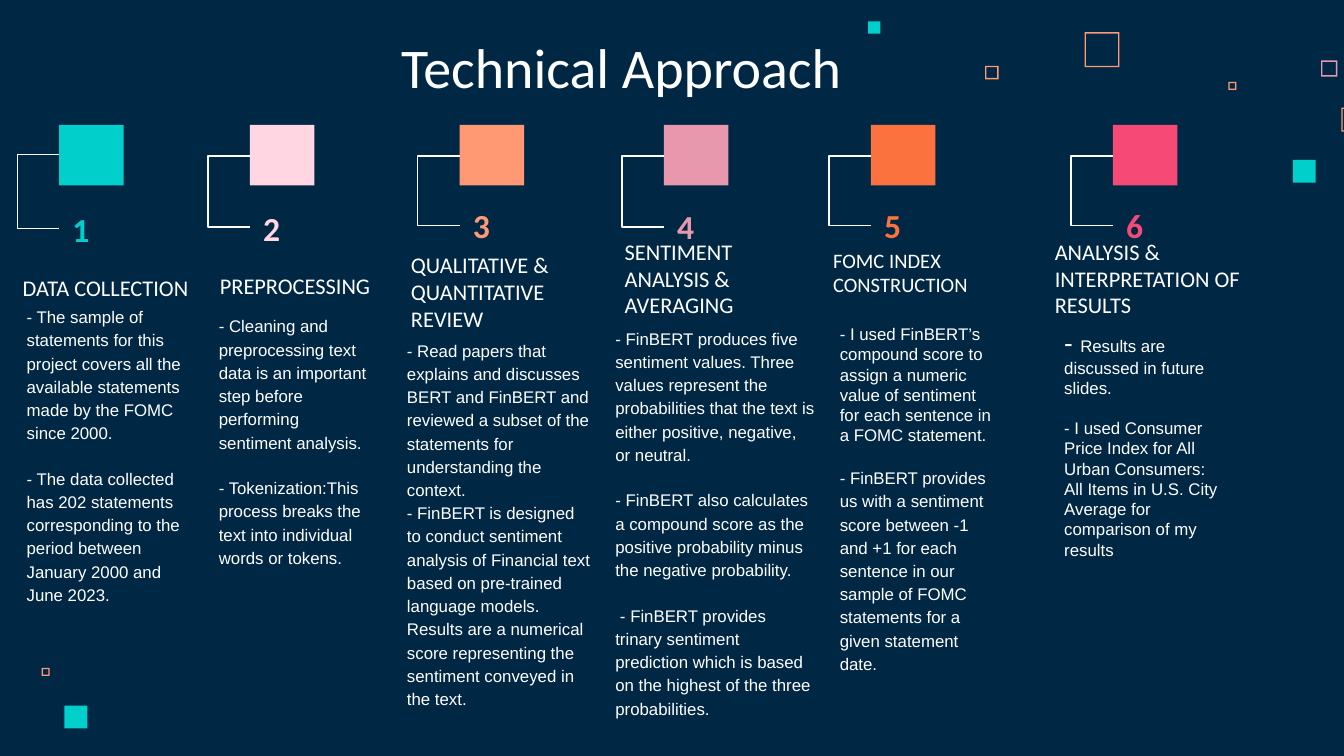
from pptx import Presentation
from pptx.dml.color import RGBColor
from pptx.enum.shapes import MSO_CONNECTOR as Link, MSO_SHAPE as Shape
from pptx.enum.text import MSO_ANCHOR as Anchor, PP_ALIGN as Align
from pptx.oxml.ns import qn
from pptx.util import Emu, Inches, Pt
from lxml import etree

NAVY = RGBColor(0x00, 0x28, 0x45)
WHITE = RGBColor(0xFF, 0xFF, 0xFF)
TEAL = RGBColor(0x00, 0xCF, 0xCC)
BLUSH = RGBColor(0xFF, 0xD6, 0xE1)
PEACH = RGBColor(0xFF, 0x99, 0x73)
MAUVE = RGBColor(0xE8, 0x98, 0xAC)
ORANGE = RGBColor(0xFC, 0x72, 0x3F)
PINK = RGBColor(0xF6, 0x49, 0x75)

# Widescreen slide, 16 to 9
deck = Presentation()
deck.slide_width = Inches(10)
deck.slide_height = Inches(10) * 9 // 16
slide = deck.slides.add_slide(deck.slide_layouts[6])
slide.background.fill.solid()
slide.background.fill.fore_color.rgb = NAVY
shapes = slide.shapes


def paint(shape, color):
    shape.fill.solid()
    shape.fill.fore_color.rgb = color
    shape.line.fill.background()
    shape.shadow.inherit = False


def write(box, paras, font, color, anchor, align=Align.LEFT, bold=False):
    """Each paragraph: (line spacing, points before, [(text, size), ...])."""
    frame = shapes.add_textbox(*map(Inches, box)).text_frame
    frame.word_wrap = True
    frame.vertical_anchor = anchor
    frame.margin_left = frame.margin_right = Inches(0.1)
    frame.margin_top = frame.margin_bottom = Inches(0.1)
    for i, (pitch, gap, runs) in enumerate(paras):
        para = frame.add_paragraph() if i else frame.paragraphs[0]
        para.alignment = align
        para.line_spacing = pitch
        para.space_before = Pt(gap)
        for text, size in runs:
            run = para.add_run()
            run.text = text
            run.font.size = Pt(size)
            run.font.name = font
            run.font.bold = bold
            run.font.color.rgb = color


# Small solid squares: left, top, side
for x, y, side in [(9.62, 1.19, 0.17), (6.46, 0.16, 0.09), (0.48, 5.25, 0.17)]:
    dot = shapes.add_shape(Shape.RECTANGLE, *map(Inches, (x, y, side, side)))
    paint(dot, TEAL)

# Small hollow squares: left, top, side, colour
rings = [
    (9.83, 0.45, 0.12, MAUVE), (9.14, 0.61, 0.06, PEACH),
    (9.98, 0.8, 0.18, PEACH), (7.33, 0.49, 0.1, PEACH),
    (0.31, 4.97, 0.06, PEACH), (8.07, 0.24, 0.26, PEACH),
]
for x, y, side, color in rings:
    a, b, c, d = map(Inches, (x, y, x + side, y + side))
    t = Inches(0.01)
    path = shapes.build_freeform(a, b)
    path.add_line_segments([(a, d), (c, d), (c, b)])
    path.move_to(c - t, b + t)
    path.add_line_segments([(c - t, d - t), (a + t, d - t), (a + t, b + t)])
    paint(path.convert_to_shape(), color)

# Title
write((2.17, 0.21, 5, 0.63), [(1, 0, [("Technical Approach ", 30)])],
      "Calibri", WHITE, Anchor.BOTTOM, Align.CENTER)

# Steps: colour, square left, number top, bracket top and bottom,
# heading box, heading runs, body box, body paragraphs
steps = [
    (TEAL, 0.44, 1.48, 1.15, 1.7,
     (0.07, 1.71, 2.35, 0.63), [("DATA COLLECTION", 12)],
     (0.1, 2.16, 1.39, 2.39), [
         (1.15, 0, [("- The sample of statements for this project covers all the available statements made by the FOMC since 2000.", 9)]),
         (1.15, 12, [("- The data collected has 202 statements corresponding to the period between January 2000 and June 2023.", 9)])]),
    (BLUSH, 1.86, 1.47, 1.16, 1.69,
     (1.49, 1.7, 2.35, 0.63), [(" ", 15), ("PREPROCESSING", 12), (" ", 15)],
     (1.53, 2.23, 1.36, 2.84), [
         (1.15, 0, [("- Cleaning and preprocessing text data is an important step before performing", 9)]),
         (1.15, 0, [("sentiment analysis.", 9)]),
         (1.15, 12, [("- Tokenization:This process breaks the text into individual words or tokens.", 9)])]),
    (PEACH, 3.42, 1.45, 1.16, 1.68,
     (2.96, 1.94, 1.57, 0.63), [("QUALITATIVE & QUANTITATIVE REVIEW", 12)],
     (2.93, 2.41, 1.57, 2.39), [
         (1.15, 0, [("- Read papers that explains and discusses BERT and FinBERT and reviewed a subset of the statements for understanding the context.", 9)]),
         (1.15, 0, [("- FinBERT is designed to conduct sentiment analysis of Financial text based on pre-trained language models. Results are a numerical score representing the sentiment conveyed in the text.", 9)])]),
    (MAUVE, 4.94, 1.46, 1.16, 1.69,
     (4.55, 1.84, 1.5, 0.63), [("SENTIMENT ANALYSIS & AVERAGING", 12)],
     (4.48, 2.32, 1.68, 2.65), [
         (1.15, 0, [("- FinBERT produces five sentiment values. Three values represent the probabilities that the text is either positive, negative, or neutral.", 9)]),
         (1.15, 12, [("- FinBERT also calculates a compound score as the positive probability minus the negative probability.", 9)]),
         (1.15, 12, [(" - FinBERT provides trinary sentiment prediction which is based on the highest of the three probabilities.", 9)])]),
    (ORANGE, 6.48, 1.45, 1.16, 1.68,
     (6.1, 1.68, 1.57, 0.63), [("FOMC INDEX CONSTRUCTION", 11)],
     (6.15, 2.31, 1.39, 2.39), [
         (1, 0, [("- I used FinBERT’s compound score to assign a numeric value of sentiment for each sentence in a FOMC statement.", 9)]),
         (1.15, 10.5, [("- FinBERT provides us with a sentiment score between -1 and +1 for each sentence in our sample of FOMC statements for a given statement date.", 9)])]),
    (PINK, 8.28, 1.45, 1.16, 1.68,
     (7.75, 1.84, 1.84, 0.63), [("ANALYSIS & INTERPRETATION OF RESULTS", 12)],
     (7.82, 2.33, 1.39, 2.39), [
         (1, 0, [("- ", 14), ("Results are discussed in future slides.", 9)]),
         (1, 10.5, [("- I used Consumer Price Index for All Urban Consumers: All Items in U.S. City Average for comparison of my results", 9)])]),
]
thin = Emu(600)
bend = -100000 * Inches(0.26) // thin
for num, (color, x, y, top, low, hbox, head, bbox, body) in enumerate(steps, 1):
    write(hbox, [(1, 0, head)], "Calibri", WHITE, Anchor.BOTTOM)
    write(bbox, body, "Arial", WHITE, Anchor.TOP)
    write((x, y, 0.79, 0.45), [(1, 0, [(str(num), 18)])],
          "Calibri", color, Anchor.MIDDLE, bold=True)
    square = shapes.add_shape(Shape.RECTANGLE, *map(Inches, (x, 0.93, 0.48, 0.45)))
    paint(square, color)

    # Bracket: a hair-thin elbow whose bend lies left of the square
    left = Inches(x)
    link = shapes.add_connector(Link.ELBOW, left, Inches(top), left + thin, Inches(low))
    link.line.color.rgb = WHITE
    link.line.width = Pt(0.75)
    props = link.element.spPr
    etree.SubElement(props, qn("a:effectLst"))
    geom = props.find(qn("a:prstGeom"))
    bends = geom.find(qn("a:avLst"))
    if bends is None:
        bends = etree.SubElement(geom, qn("a:avLst"))
    etree.SubElement(bends, qn("a:gd"), name="adj1", fmla=f"val {bend}")

deck.save("out.pptx")
